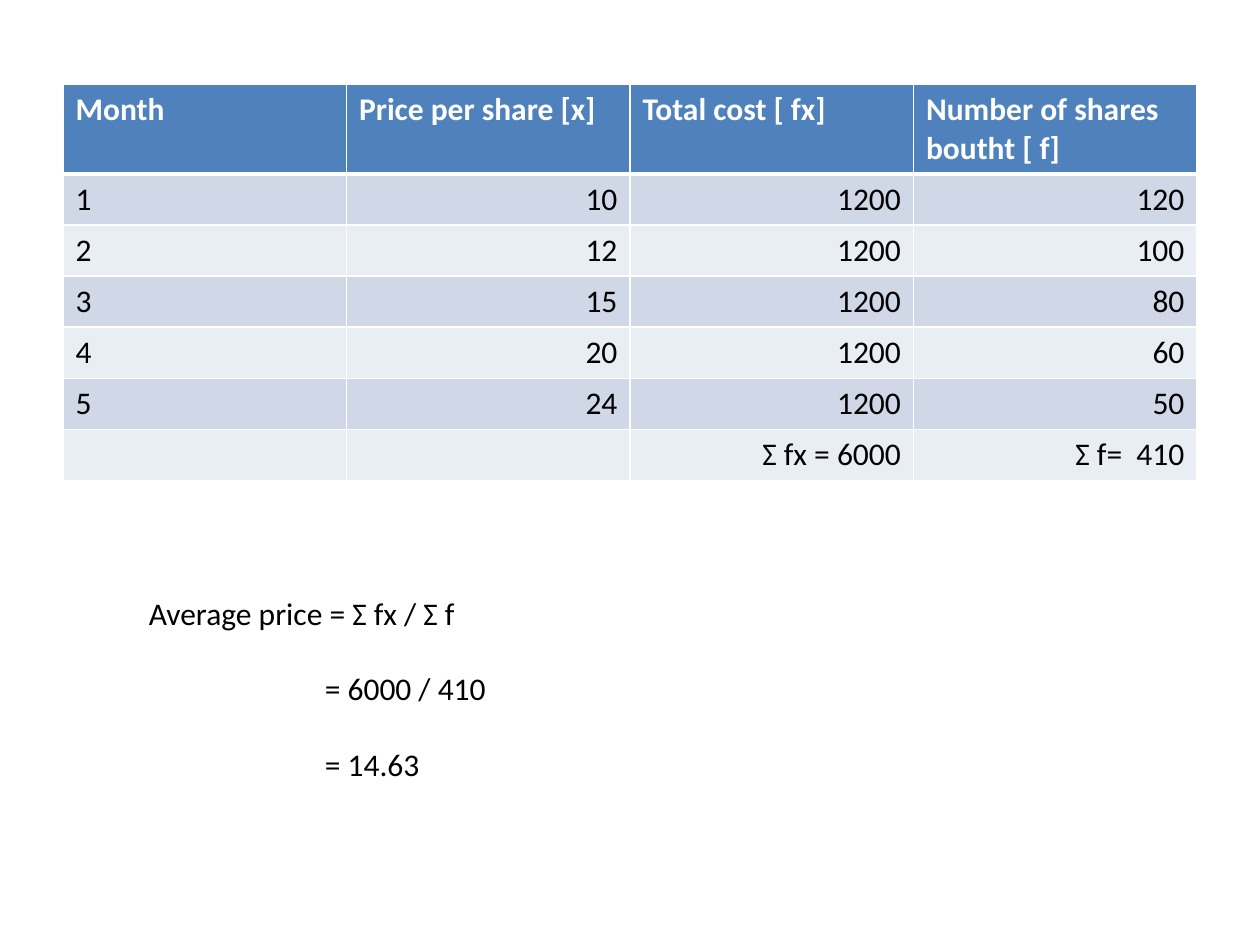
from lxml import etree
from pptx import Presentation
from pptx import util as u
from pptx.dml.color import RGBColor
from pptx.enum import text
from pptx.oxml import ns

WHITE = RGBColor(0xFF, 0xFF, 0xFF)
BLACK = RGBColor(0x00, 0x00, 0x00)
HEADER_BLUE = RGBColor(0x4F, 0x81, 0xBD)
BAND_DARK = RGBColor(0xD0, 0xD8, 0xE8)
BAND_LIGHT = RGBColor(0xE9, 0xED, 0xF4)

ROWS = [
    ["Month", "Price per share [x]", "Total cost [ fx]", "Number of shares boutht [ f]"],
    ["1", "10", "1200", "120"],
    ["2", "12", "1200", "100"],
    ["3", "15", "1200", "80"],
    ["4", "20", "1200", "60"],
    ["5", "24", "1200", "50"],
    ["", "", "Σ fx = 6000", "Σ f=  410"],
]
CALCULATION = ["Average price = Σ fx / Σ f", "= 6000 / 410", "= 14.63"]


def write(paragraph, content, color=BLACK, bold=False, align=text.PP_ALIGN.LEFT):
    paragraph.alignment = align
    run = paragraph.add_run()
    run.text = content
    run.font.name = "Calibri"
    run.font.size = u.Pt(18)
    run.font.bold = bold
    run.font.color.rgb = color


def set_borders(cell, bottom):
    properties = cell._tc.get_or_add_tcPr()
    widths = {"lnL": 1, "lnR": 1, "lnT": 1, "lnB": bottom}
    for position, (side, width) in enumerate(widths.items()):
        line = etree.Element(ns.qn(f"a:{side}"), w=str(u.Pt(width)))
        fill = etree.SubElement(line, ns.qn("a:solidFill"))
        etree.SubElement(fill, ns.qn("a:srgbClr"), val=str(WHITE))
        properties.insert(position, line)


presentation = Presentation()
presentation.slide_width = u.Cm(25.4)
presentation.slide_height = u.Cm(19.05)
slide = presentation.slides.add_slide(presentation.slide_layouts[6])

table = slide.shapes.add_table(
    len(ROWS), len(ROWS[0]), u.Cm(1.27), u.Cm(1.7), u.Cm(22.86), u.Cm(7.21)
).table
for row in table.rows:
    row.height = u.Cm(1.03)

for row_index, row in enumerate(ROWS):
    header = row_index == 0
    band = BAND_DARK if row_index % 2 else BAND_LIGHT
    for column_index, content in enumerate(row):
        cell = table.cell(row_index, column_index)
        cell.fill.solid()
        cell.fill.fore_color.rgb = HEADER_BLUE if header else band
        set_borders(cell, bottom=3 if header else 1)
        left = header or column_index == 0
        if content:
            write(
                cell.text_frame.paragraphs[0],
                content,
                color=WHITE if header else BLACK,
                bold=header,
                align=text.PP_ALIGN.LEFT if left else text.PP_ALIGN.RIGHT,
            )

calculation = slide.shapes.add_textbox(u.Cm(2.75), u.Cm(11.85), u.Cm(9.1), u.Cm(4.1))
frame = calculation.text_frame
frame.word_wrap = True
frame.auto_size = text.MSO_AUTO_SIZE.SHAPE_TO_FIT_TEXT
write(frame.paragraphs[0], CALCULATION[0])
for step in CALCULATION[1:]:
    paragraph = frame.add_paragraph()
    paragraph.space_before = u.Pt(21.5)
    paragraph._p.get_or_add_pPr().set("marL", str(u.Cm(3.55)))
    write(paragraph, step)

presentation.save("out.pptx")
